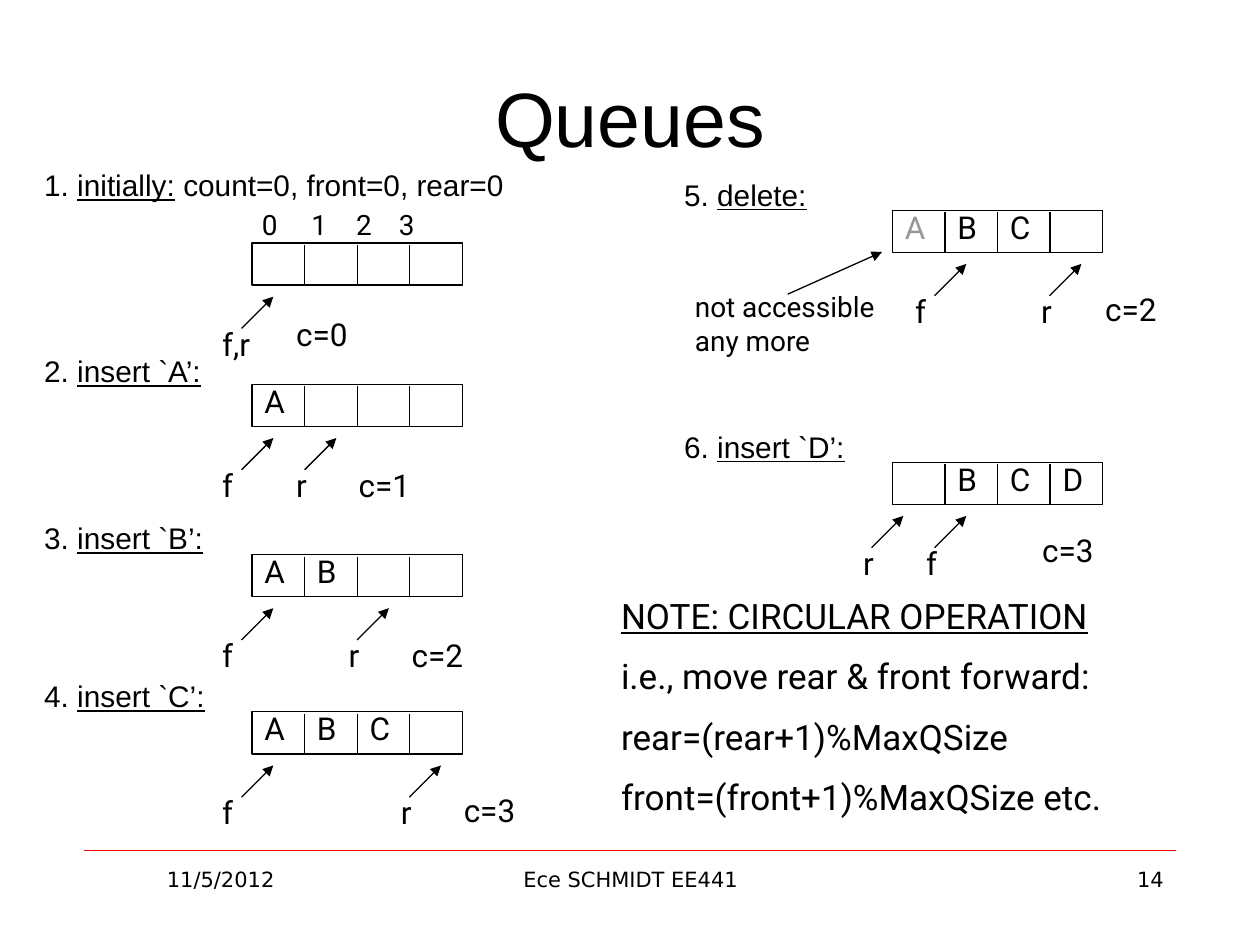
from lxml.etree import SubElement
from pptx import Presentation
from pptx.dml.color import RGBColor
from pptx.enum.shapes import MSO_CONNECTOR, MSO_SHAPE
from pptx.enum.text import MSO_ANCHOR, PP_ALIGN
from pptx.oxml.ns import qn
from pptx.util import Cm, Pt

THEME = {
    "ink": RGBColor(0, 0, 0),
    "faded": RGBColor(0x96, 0x96, 0x96),
    "rule": RGBColor(0xFF, 0, 0),
    "outline": Pt(0.75),
    "hairline": Pt(0.25),
    "title": {"name": "Arial", "size": Pt(44)},
    "heading": {"name": "Arial", "size": Pt(17)},
    "label": {"name": "Roboto", "size": Pt(18)},
    "small": {"name": "Roboto", "size": Pt(16)},
    "note": {"name": "Roboto", "size": Pt(20)},
    "footer": {"name": "DejaVu Sans", "size": Pt(12)},
}

TITLE = "Queues"
STEPS = [
    {"number": "1. ", "action": "initially:", "detail": " count=0, front=0, rear=0",
     "heading": (0.64, 3.38, 11.43), "queue": (5.08, 4.9), "cells": "    ",
     "pointers": [("f,r", -0.21, 0.64)], "count": ("c=0", 0.64, 1.32)},
    {"number": "2. ", "action": "insert `A’:", "detail": "",
     "heading": (0.64, 6.99, 4.45), "queue": (5.08, 7.75), "cells": "A   ",
     "pointers": [("f", -0.21, 0.64), ("r", 1.06, 0.42)], "count": ("c=1", 1.9, 1.52)},
    {"number": "3. ", "action": "insert `B’:", "detail": "",
     "heading": (0.64, 10.36, 4.45), "queue": (5.08, 11.18), "cells": "AB  ",
     "pointers": [("f", -0.21, 0.64), ("r", 2.12, 0.42)], "count": ("c=2", 2.97, 1.52)},
    {"number": "4. ", "action": "insert `C’:", "detail": "",
     "heading": (0.64, 13.54, 4.45), "queue": (5.08, 14.35), "cells": "ABC ",
     "pointers": [("f", -0.21, 0.64), ("r", 3.17, 0.42)], "count": ("c=3", 4.02, 1.48)},
    {"number": "5. ", "action": "delete:", "detail": "",
     "heading": (13.54, 3.43, 4.45), "queue": (17.99, 4.24), "cells": "ABC ", "faded": "A",
     "pointers": [("f", 0.85, 0.64), ("r", 3.17, 0.42)], "count": ("c=2", 4.04, 1.48)},
    {"number": "6. ", "action": "insert `D’:", "detail": "",
     "heading": (13.54, 8.51, 4.45), "queue": (17.99, 9.32), "cells": " BCD",
     "pointers": [("f", 0.85, 0.42), ("r", -0.42, 0.42)], "count": ("c=3", 2.77, 1.27)},
]
INDEXES = "0\t1\t2\t3"
INDEX_TABS = (1.0, 1.9, 2.76)
ACCESS_NOTE = "not accessible any more"
NOTES = [
    ("NOTE: CIRCULAR OPERATION", True),
    ("i.e., move rear & front forward:", False),
    ("rear=(rear+1)%MaxQSize", False),
    ("front=(front+1)%MaxQSize etc.", False),
]
FOOTER = [
    ("11/5/2012", 1.7, 5.5, PP_ALIGN.CENTER),
    ("Ece SCHMIDT EE441", 8.69, 8.05, PP_ALIGN.CENTER),
    ("14", 18.21, 5.5, PP_ALIGN.RIGHT),
]

CELL_WIDTH, CELL_HEIGHT = 1.06, 0.85
SEPARATOR_INSET = 0.04
LETTER_RISE = 0.18
ARROW_DROP, ARROW_SPAN = 1.72, 0.64
POINTER_RISE = 0.2
LABEL_HEIGHT = 1.02


def add_run(paragraph, text, style, color=THEME["ink"], underline=False):
    run = paragraph.add_run()
    run.text = text
    for name, value in {**THEME[style], "underline": underline}.items():
        setattr(run.font, name, value)
    run.font.color.rgb = color


def add_text(slide, box, runs, style, color=THEME["ink"], align=PP_ALIGN.LEFT):
    frame = slide.shapes.add_textbox(*map(Cm, box)).text_frame
    frame.word_wrap = True
    paragraph = frame.paragraphs[0]
    paragraph.alignment = align
    for text, underline in runs:
        add_run(paragraph, text, style, color, underline)
    return frame


def add_line(slide, start, end, color=THEME["ink"], width=THEME["outline"], arrow=False):
    points = map(Cm, (*start, *end))
    connector = slide.shapes.add_connector(MSO_CONNECTOR.STRAIGHT, *points)
    connector.line.color.rgb = color
    connector.line.width = width
    if arrow:
        SubElement(connector.line._get_or_add_ln(), qn("a:tailEnd"), type="triangle")
    SubElement(connector._element.spPr, qn("a:effectLst"))


def add_queue(slide, left, top, cells, faded):
    box = map(Cm, (left, top, CELL_WIDTH * len(cells), CELL_HEIGHT))
    frame = slide.shapes.add_shape(MSO_SHAPE.RECTANGLE, *box)
    frame.shadow.inherit = False
    frame.fill.background()
    frame.line.color.rgb = THEME["ink"]
    frame.line.width = THEME["outline"]
    for position, letter in enumerate(cells):
        x = left + position * CELL_WIDTH
        if position:
            add_line(slide, (x, top + SEPARATOR_INSET), (x, top + CELL_HEIGHT))
        if letter.strip():
            color = THEME["faded" if letter in faded else "ink"]
            add_text(slide, (x, top - LETTER_RISE, 1.27, LABEL_HEIGHT),
                     [(letter, False)], "label", color)


def add_step(slide, step):
    heading_left, heading_top, heading_width = step["heading"]
    runs = [(step["number"], False), (step["action"], True)]
    if step["detail"]:
        runs.append((step["detail"], False))
    heading = add_text(slide, (heading_left, heading_top, heading_width, 1.27), runs, "heading")
    if step["detail"]:
        heading.paragraphs[0].line_spacing = 0.8

    left, top = step["queue"]
    add_queue(slide, left, top, step["cells"], step.get("faded", ""))
    for name, offset, label_gap in step["pointers"]:
        x, y = left + offset, top + ARROW_DROP
        add_line(slide, (x, y), (x + ARROW_SPAN, y - ARROW_SPAN), arrow=True)
        add_text(slide, (x - label_gap, y - POINTER_RISE, 1.27, LABEL_HEIGHT),
                 [(name, False)], "label")
    count, offset, drop = step["count"]
    add_text(slide, (left + offset, top + drop, 2.12, LABEL_HEIGHT), [(count, False)], "label")


def add_title(slide):
    title = slide.shapes.title
    box = {"left": 1.27, "top": 0.76, "width": 22.86, "height": 3.18}
    for name, value in box.items():
        setattr(title, name, Cm(value))
    title.text_frame.vertical_anchor = MSO_ANCHOR.MIDDLE
    paragraph = title.text_frame.paragraphs[0]
    paragraph.alignment = PP_ALIGN.CENTER
    add_run(paragraph, TITLE, "title")


def add_indexes(slide):
    frame = add_text(slide, (5.03, 4.06, 4.29, 0.94), [(INDEXES, False)], "small")
    tabs = SubElement(frame.paragraphs[0]._p.get_or_add_pPr(), qn("a:tabLst"))
    for position in INDEX_TABS:
        SubElement(tabs, qn("a:tab"), pos=str(Cm(position)), algn="l")


def add_notes(slide):
    frame = add_text(slide, (12.27, 11.86, 12.5, 4.9), NOTES[:1], "note")
    for text, underline in NOTES[1:]:
        paragraph = frame.add_paragraph()
        paragraph.space_before = Pt(10.5)
        add_run(paragraph, text, "note", underline=underline)


def main():
    presentation = Presentation()
    presentation.slide_width, presentation.slide_height = Cm(25.4), Cm(19.05)
    slide = presentation.slides.add_slide(presentation.slide_layouts[5])
    add_title(slide)
    add_line(slide, (1.7, 17.14), (23.7, 17.14), THEME["rule"], THEME["hairline"])
    for text, left, width, align in FOOTER:
        add_text(slide, (left, 17.35, width, 1.32), [(text, False)], "footer", align=align)
    for step in STEPS:
        add_step(slide, step)
    add_indexes(slide)
    add_line(slide, (15.88, 5.93), (17.78, 5.08), arrow=True)
    add_text(slide, (13.76, 5.72, 4.24, 1.63), [(ACCESS_NOTE, False)], "small")
    add_notes(slide)
    presentation.save("out.pptx")


if __name__ == "__main__":
    main()
